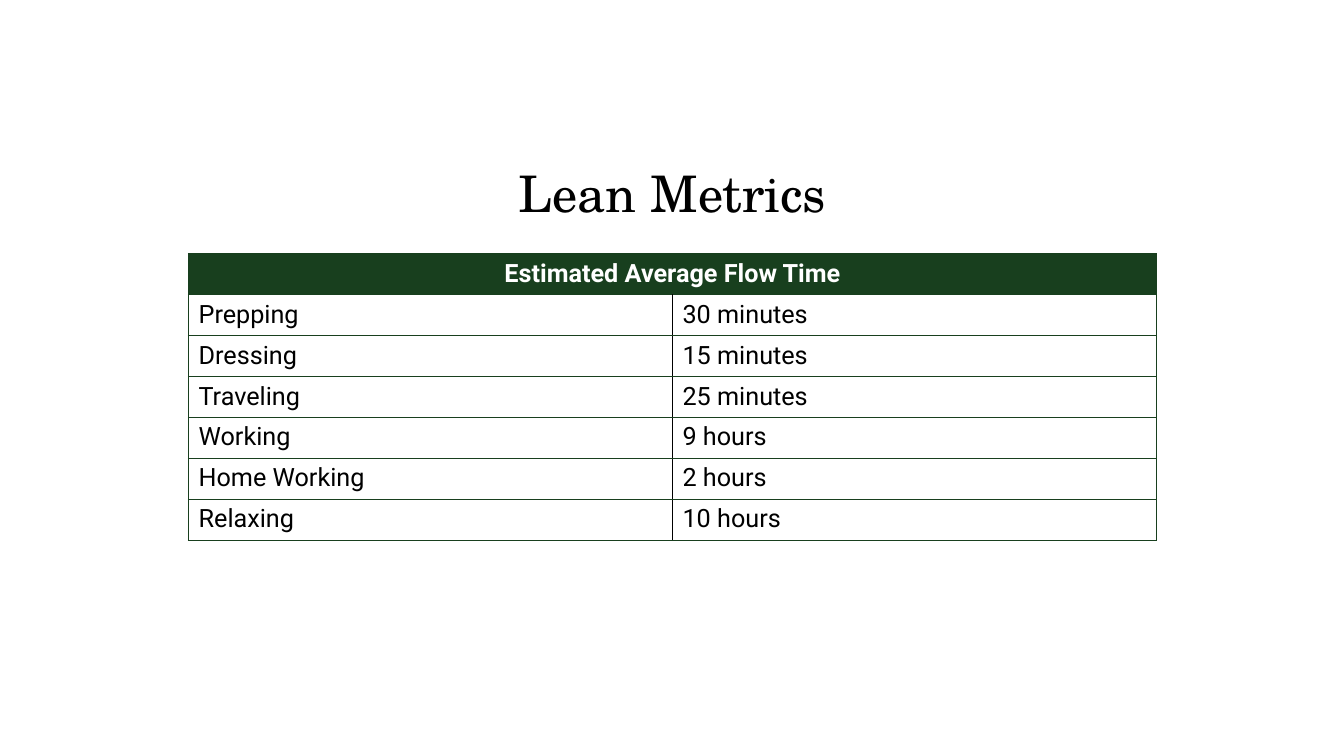
from lxml import etree
from pptx import Presentation
from pptx import util as u
from pptx.dml.color import RGBColor
from pptx.enum import text
from pptx.oxml.ns import qn

COLORS = {"green": "183F1E", "black": "000000", "white": "FFFFFF"}
TITLE_FONT, BODY_FONT = "TeX Gyre Schola", "Roboto"
HEADING = "Estimated Average Flow Time"
FLOW_TIMES = [
    ("Prepping", "30 minutes"),
    ("Dressing", "15 minutes"),
    ("Traveling", "25 minutes"),
    ("Working", "9 hours"),
    ("Home Working", "2 hours"),
    ("Relaxing", "10 hours"),
]


def color(name):
    return RGBColor.from_string(COLORS[name])


def style_font(font, name, size, color_name, bold=False):
    font.name, font.size, font.bold = name, u.Pt(size), bold
    font.color.rgb = color(color_name)


def set_borders(cell, left, right):
    properties = cell._tc.get_or_add_tcPr()
    sides = {"lnL": left, "lnR": right, "lnT": "green", "lnB": "green"}
    for side, color_name in sides.items():
        line = etree.SubElement(properties, qn(f"a:{side}"), w=str(u.Pt(1)))
        fill = etree.SubElement(line, qn("a:solidFill"))
        etree.SubElement(fill, qn("a:srgbClr"), val=COLORS[color_name])


def fill_cell(cell, words, fill_name, font_name, bold=False):
    cell.fill.solid()
    cell.fill.fore_color.rgb = color(fill_name)
    cell.text_frame.text = words
    paragraph = cell.text_frame.paragraphs[0]
    for run in paragraph.runs:
        style_font(run.font, BODY_FONT, 18, font_name, bold)
    return paragraph


def add_title(slide, words, left, top, width, height):
    frame = slide.shapes.add_textbox(left, top, width, height).text_frame
    frame.word_wrap = True
    frame.vertical_anchor = text.MSO_ANCHOR.BOTTOM
    frame.text = words
    paragraph = frame.paragraphs[0]
    paragraph.alignment = text.PP_ALIGN.CENTER
    paragraph.line_spacing = 0.9
    style_font(paragraph.runs[0].font, TITLE_FONT, 36, "black")


def add_flow_table(slide, left, top, width, height):
    row_count = len(FLOW_TIMES) + 1
    table = slide.shapes.add_table(row_count, 2, left, top, width, height).table
    table.horz_banding = False
    heading, covered = table.cell(0, 0), table.cell(0, 1)
    for cell in (heading, covered):
        set_borders(cell, "green", "green")
    heading.merge(covered)
    paragraph = fill_cell(heading, HEADING, "green", "white", bold=True)
    paragraph.alignment = text.PP_ALIGN.CENTER
    for row, (activity, duration) in enumerate(FLOW_TIMES, start=1):
        activity_cell, duration_cell = table.cell(row, 0), table.cell(row, 1)
        set_borders(activity_cell, "green", "black")
        set_borders(duration_cell, "black", "green")
        fill_cell(activity_cell, activity, "white", "black")
        fill_cell(duration_cell, duration, "white", "black")


def main():
    presentation = Presentation()
    presentation.slide_width = u.Inches(13.33)
    presentation.slide_height = u.Inches(7.5)
    slide = presentation.slides.add_slide(presentation.slide_layouts[6])
    add_title(slide, "Lean Metrics", *map(u.Inches, (1.77, 1.09, 9.8, 1.18)))
    add_flow_table(slide, *map(u.Inches, (1.87, 2.52, 9.6, 2.84)))
    presentation.save("out.pptx")


if __name__ == "__main__":
    main()
